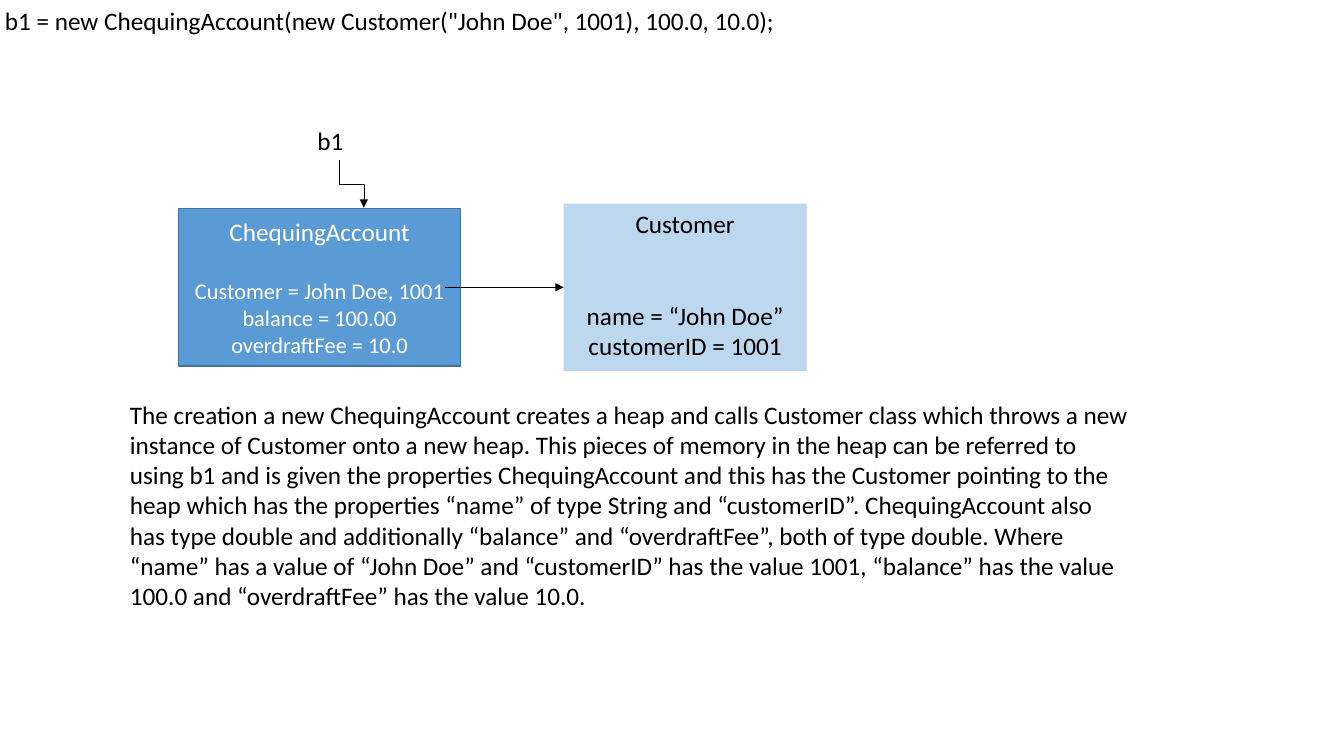
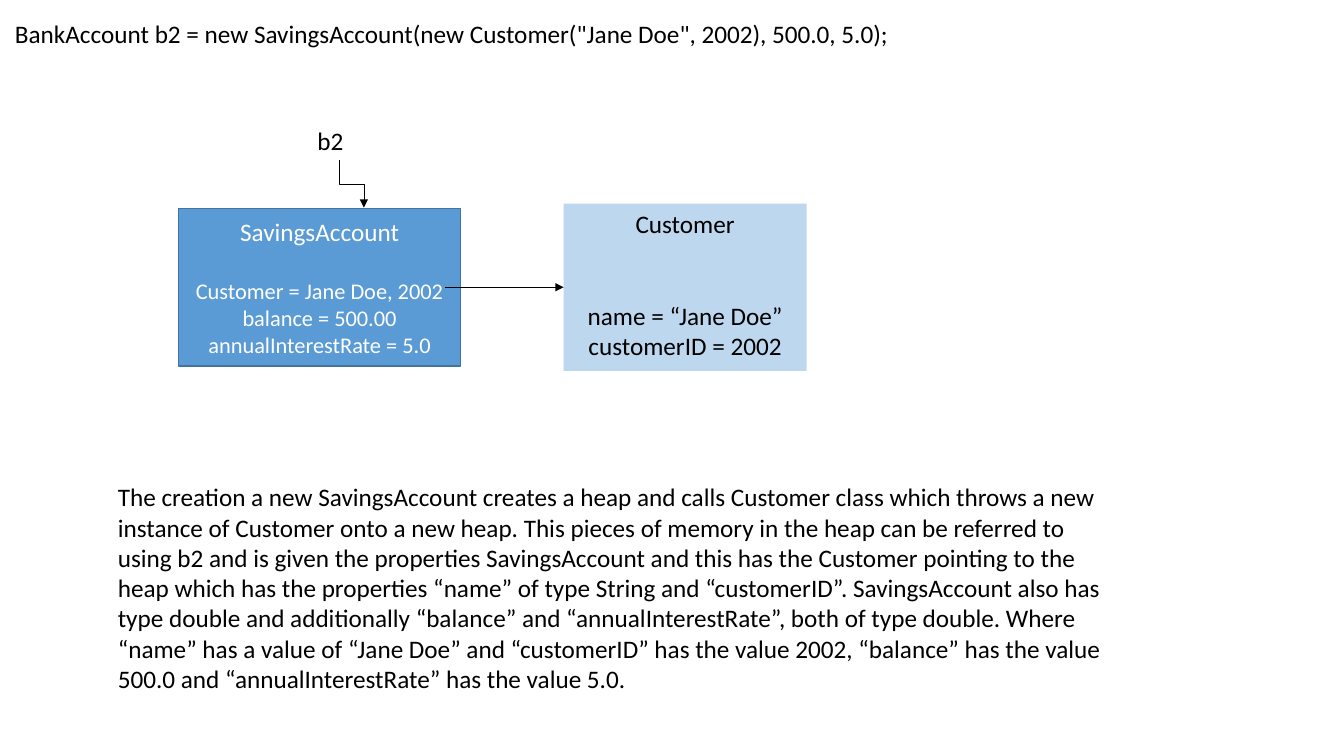
import pptx
import pptx.util
import pptx.dml.color
import pptx.enum.shapes
import pptx.enum.text
import pptx.oxml
import pptx.oxml.ns

WIDE, HIGH = 13.33, 7.5
FONT = "Calibri"
HUES = {"ink": "000000", "white": "FFFFFF", "blue": "5B9BD5", "edge": "43739E", "pale": "BDD7EE"}
LINE = 22

STORY = (
    "The creation a new {kind} creates a heap and calls Customer class which throws a new "
    "instance of Customer onto a new heap. This pieces of memory in the heap can be referred to "
    "using {var} and is given the properties {kind} and this has the Customer pointing to the "
    "heap which has the properties “name” of type String and “customerID”. {kind} also has "
    "type double and additionally “balance” and “{extra}”, both of type double. Where "
    "“name” has a value of “{name}” and “customerID” has the value {id}, “balance” has the value "
    "{sum} and “{extra}” has the value {rate}."
)
CODE = '{lead}{var} = new {kind}(new Customer("{name}", {id}), {sum}, {rate});'
ACCOUNT = ["{kind}", "Customer = {name}, {id}", "balance = {sum}0", "{extra} = {rate}"]
OWNER = ["Customer", "name = “{name}”", "customerID = {id}"]

SLIDES = [
    {"lead": "", "var": "b1", "kind": "ChequingAccount", "name": "John Doe", "id": 1001,
     "sum": "100.0", "extra": "overdraftFee", "rate": "10.0",
     "top": (-0.05, 0, 8.38, 0.4), "body": (1.19, 3.91, 10.11, 2.22)},
    {"lead": "BankAccount ", "var": "b2", "kind": "SavingsAccount", "name": "Jane Doe", "id": 2002,
     "sum": "500.0", "extra": "annualInterestRate", "rate": "5.0",
     "top": (0.05, 0.13, 9.32, 0.4), "body": (1.07, 4.73, 10.11, 2.52)},
]

LABEL = (3.05, 1.19, 0.63, 0.4)
LEFT = (1.77, 2.07, 2.8, 1.56)
RIGHT = (5.59, 2.02, 2.41, 1.66)
LINK = (4.41, 2.85, RIGHT[0], 2.85)
DROP = (3.37, 1.59, 3.61, 2.06)

KIND = pptx.enum.shapes.MSO_CONNECTOR
ALIGN = pptx.enum.text.PP_ALIGN
ANCHOR = pptx.enum.text.MSO_ANCHOR


def inch(vals):
    return [pptx.util.Inches(val) for val in vals]


def hue(name):
    return pptx.dml.color.RGBColor.from_string(HUES[name])


def put(thing, form):
    for key, val in form.items():
        setattr(thing, key, val)


def write(shape, lines, ink="ink", size=18, gap=0, align=ALIGN.LEFT, anchor=ANCHOR.TOP):
    frame = shape.text_frame
    put(frame, {"word_wrap": True, "vertical_anchor": anchor})
    for num, line in enumerate(lines):
        para = frame.add_paragraph() if num else frame.paragraphs[0]
        put(para, {"alignment": align, "space_before": pptx.util.Pt(gap if num == 1 else 0)})
        run = para.add_run()
        run.text = line
        put(run.font, {"name": FONT, "size": pptx.util.Pt(size if num else 18)})
        run.font.color.rgb = hue(ink)


def label(slide, place, text):
    write(slide.shapes.add_textbox(*inch(place)), [text])


def box(slide, place, lines, fill, edge=None, **form):
    shape = slide.shapes.add_shape(pptx.enum.shapes.MSO_SHAPE.RECTANGLE, *inch(place))
    shape.shadow.inherit = False
    shape.fill.solid()
    shape.fill.fore_color.rgb = hue(fill)
    if edge:
        shape.line.color.rgb = hue(edge)
        shape.line.width = pptx.util.Pt(1)
    else:
        shape.line.fill.background()
    write(shape, lines, align=ALIGN.CENTER, **form)


def arrow(slide, kind, ends):
    wire = slide.shapes.add_connector(kind, *inch(ends))
    wire.line.color.rgb = hue("ink")
    wire.line.width = pptx.util.Pt(0.5)
    make = pptx.oxml.ns.qn
    tip = wire.line._get_or_add_ln().makeelement(make("a:tailEnd"), {"type": "triangle"})
    wire.line._get_or_add_ln().append(tip)
    props = wire._element.spPr
    props.append(props.makeelement(make("a:effectLst"), {}))
    return wire


def drop(slide, ends):
    x1, y1, x2, y2 = ends
    midx, midy = (x1 + x2) / 2, (y1 + y2) / 2
    long, wide = (y2 - y1) / 2, (x2 - x1) / 2
    wire = arrow(slide, KIND.ELBOW, (midx + long, midy - wide, midx - long, midy + wide))
    wire._element.spPr.find(pptx.oxml.ns.qn("a:xfrm")).set("rot", str(270 * 60000))


def build(deck, data):
    slide = deck.slides.add_slide(deck.slide_layouts[6])
    fill = lambda lines: [line.format(**data) for line in lines]
    label(slide, data["top"], CODE.format(**data))
    label(slide, data["body"], STORY.format(**data))
    box(slide, LEFT, fill(ACCOUNT), "blue", "edge", ink="white", size=16, gap=LINE,
        anchor=ANCHOR.MIDDLE)
    label(slide, LABEL, data["var"])
    drop(slide, DROP)
    box(slide, RIGHT, fill(OWNER), "pale", gap=2 * LINE)
    arrow(slide, KIND.STRAIGHT, LINK)


def main():
    deck = pptx.Presentation()
    put(deck, dict(zip(("slide_width", "slide_height"), inch((WIDE, HIGH)))))
    for data in SLIDES:
        build(deck, data)
    deck.save("out.pptx")


if __name__ == "__main__":
    main()
